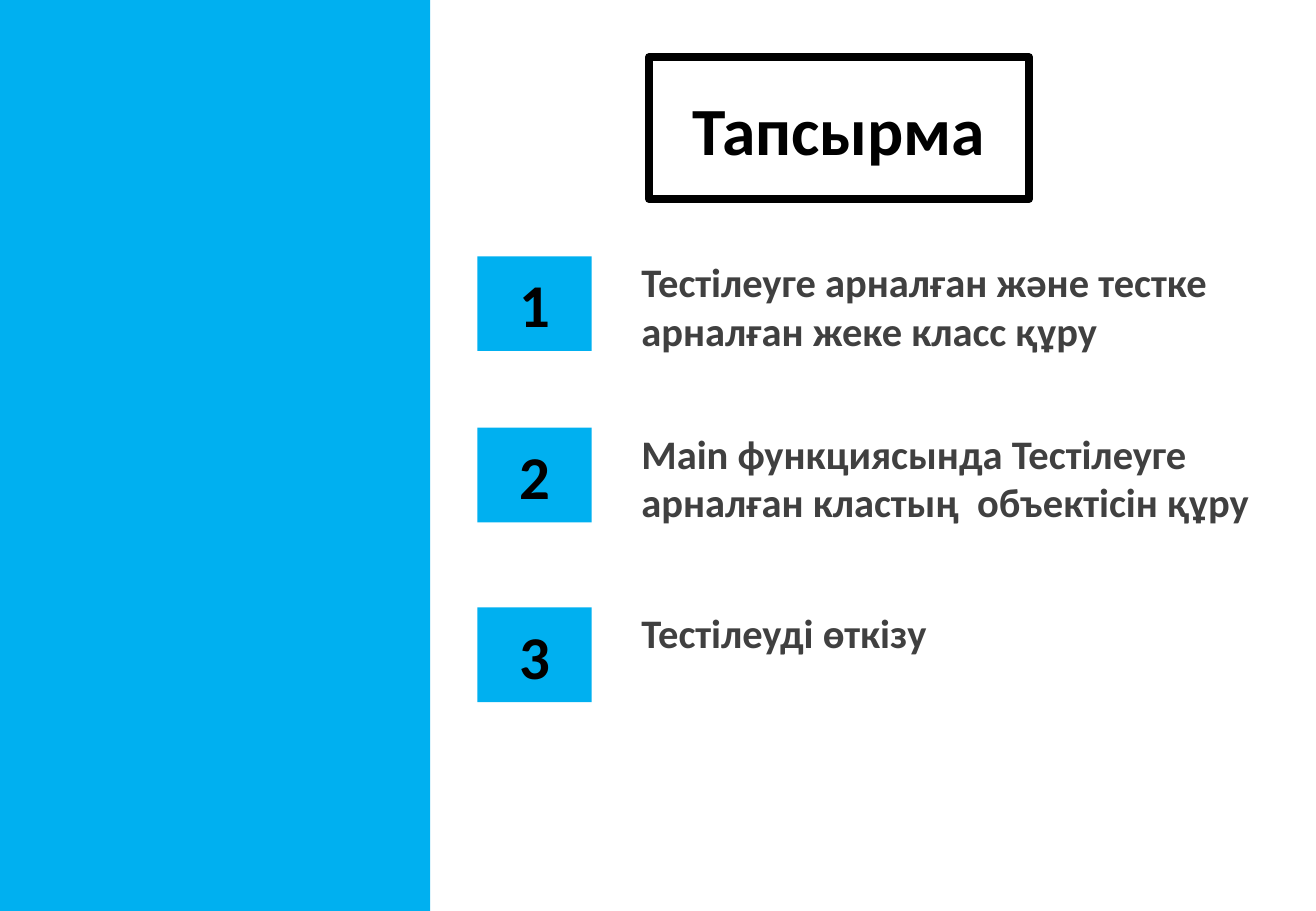
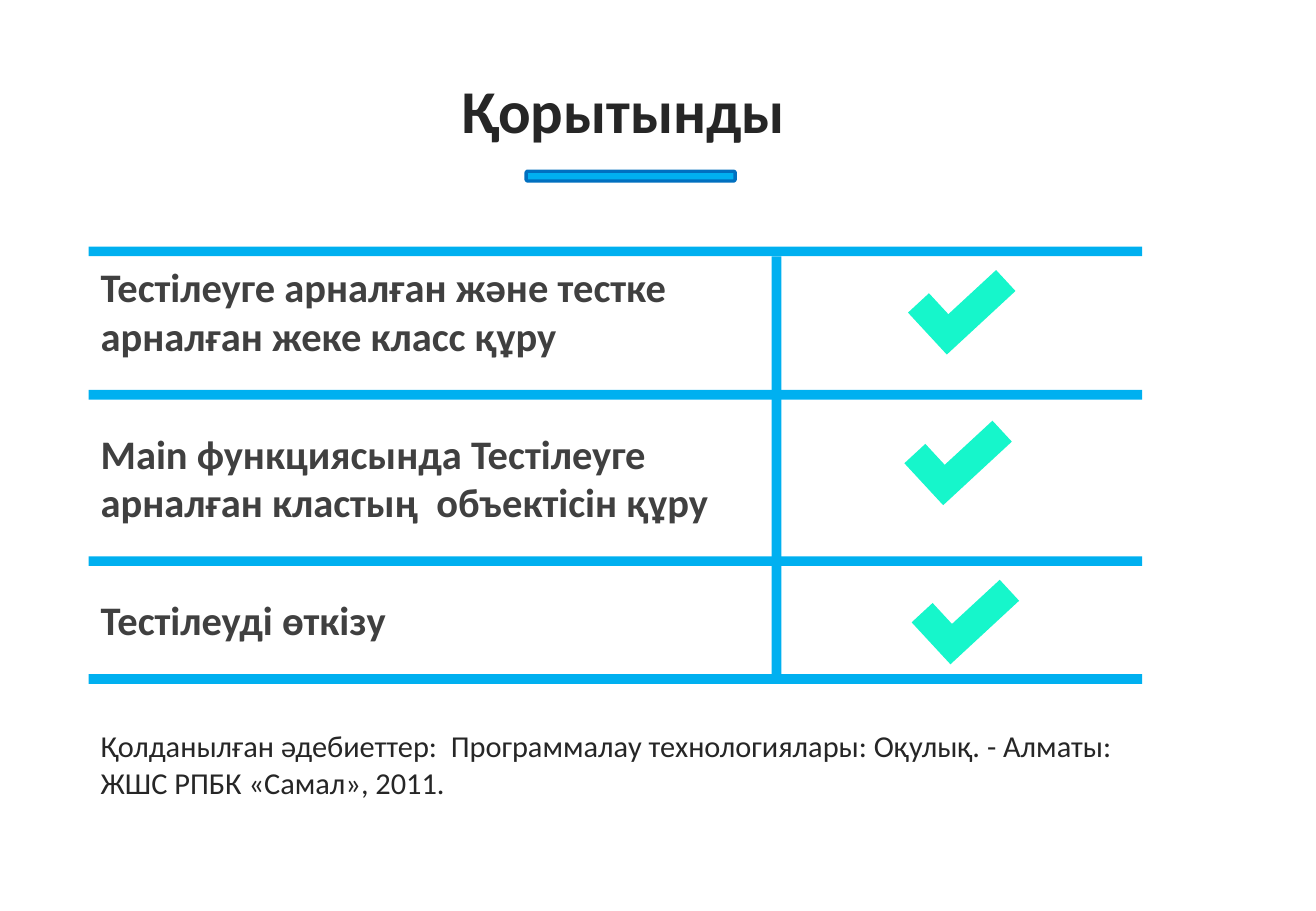
import pptx
import pptx.util
import pptx.dml.color
import pptx.enum.shapes
import pptx.enum.text

Inches = pptx.util.Inches
RGBColor = pptx.dml.color.RGBColor
SHAPE = pptx.enum.shapes.MSO_SHAPE
ALIGN = pptx.enum.text.PP_ALIGN
ANCHOR = pptx.enum.text.MSO_ANCHOR
FIT = pptx.enum.text.MSO_AUTO_SIZE

# Content
TASK = "Тапсырма"
RESULT = "Қорытынды"
STEPS = [
    "Тестілеуге арналған және тестке арналған жеке класс құру",
    "Main функциясында Тестілеуге арналған кластың  объектісін құру",
    "Тестілеуді өткізу",
]
SOURCE = ("Қолданылған әдебиеттер:  Программалау технологиялары: Оқулық. "
          "- Алматы: ЖШС РПБК «Самал», 2011.")

# Shared look
FONT = "Calibri"
BLUE = RGBColor(0x00, 0xB0, 0xF0)
EDGE = RGBColor(0x00, 0x70, 0xC0)
MINT = RGBColor(0x16, 0xF6, 0xCB)
BLACK = RGBColor(0x00, 0x00, 0x00)
DARK = RGBColor(0x26, 0x26, 0x26)
GREY = RGBColor(0x40, 0x40, 0x40)

# Places, in inches
WIDE, HIGH = 10.83, 7.5
SIZES = [(4.92, 0.91), (5.31, 0.91), (4.61, 0.5)]
TILES = [2.11, 3.52, 5.0]
LEFT, SPAN, THICK = 0.73, 8.67, 0.08
RULES = [2.03, 3.21, 4.58, 5.55]
ROWS = [2.11, 3.48, 4.85]
TICKS = [(7.53, 2.25), (7.5, 3.49), (7.56, 4.8)]


def style(shape, text, size, color, bold=True, align=ALIGN.LEFT):
    frame = shape.text_frame
    frame.text = text
    para = frame.paragraphs[0]
    para.alignment = align
    font = para.font
    font.name, font.size, font.bold = FONT, pptx.util.Pt(size), bold
    font.color.rgb = color
    return frame


def add_box(slide, kind, place, fill=None, line=None, weight=1):
    shape = slide.shapes.add_shape(kind, *map(Inches, place))
    shape.shadow.inherit = False
    if fill is None:
        shape.fill.background()
    else:
        shape.fill.solid()
        shape.fill.fore_color.rgb = fill
    if line is None:
        shape.line.fill.background()
    else:
        shape.line.color.rgb = line
        shape.line.width = pptx.util.Pt(weight)
    return shape


def add_label(slide, place, text, size, color, bold=True, wrap=True):
    box = slide.shapes.add_textbox(*map(Inches, place))
    frame = style(box, text, size, color, bold)
    frame.word_wrap = wrap
    frame.auto_size = FIT.SHAPE_TO_FIT_TEXT


def add_centred(shape, text, size):
    frame = style(shape, text, size, BLACK, align=ALIGN.CENTER)
    frame.vertical_anchor = ANCHOR.MIDDLE
    frame.word_wrap = False


def add_steps(slide, left, tops):
    for text, top, size in zip(STEPS, tops, SIZES):
        add_label(slide, (left, top, *size), text, 24, GREY)


def build_task(slide):
    # Side band and framed title
    add_box(slide, SHAPE.RECTANGLE, (0, 0, 3.54, HIGH), BLUE)
    frame = add_box(slide, SHAPE.RECTANGLE, (5.34, 0.47, 3.13, 1.17),
                    line=BLACK, weight=4.5)
    add_centred(frame, TASK, 40)

    # Numbered steps
    for number, top in enumerate(TILES, 1):
        tile = add_box(slide, SHAPE.RECTANGLE, (3.93, top, 0.94, 0.78), BLUE)
        add_centred(tile, str(number), 36)
    add_steps(slide, 5.18, [top - 0.04 for top in TILES])


def build_result(slide):
    # Title with underline
    add_label(slide, (3.7, 0.55, 2.9, 0.71), RESULT, 36, DARK, wrap=False)
    add_box(slide, SHAPE.ROUNDED_RECTANGLE, (4.33, 1.41, 1.72, THICK),
            BLUE, EDGE, 2)

    # Rules and divider
    add_steps(slide, LEFT, ROWS)
    for top in RULES:
        add_box(slide, SHAPE.RECTANGLE, (LEFT, top, SPAN, THICK), BLUE)
    add_box(slide, SHAPE.RECTANGLE,
            (6.35, RULES[0] + THICK, THICK, RULES[-1] - RULES[0]), BLUE)

    # Ticks
    for left, top in TICKS:
        tick = add_box(slide, SHAPE.CORNER, (left, top, 0.77, 0.47), MINT)
        tick.rotation = 317.2

    # Reference
    add_label(slide, (LEFT, 5.94, 8.75, 1.01), SOURCE, 18, DARK, bold=False)


def main():
    deck = pptx.Presentation()
    deck.slide_width, deck.slide_height = Inches(WIDE), Inches(HIGH)
    for build in (build_task, build_result):
        build(deck.slides.add_slide(deck.slide_layouts[6]))
    deck.save("out.pptx")


if __name__ == "__main__":
    main()
